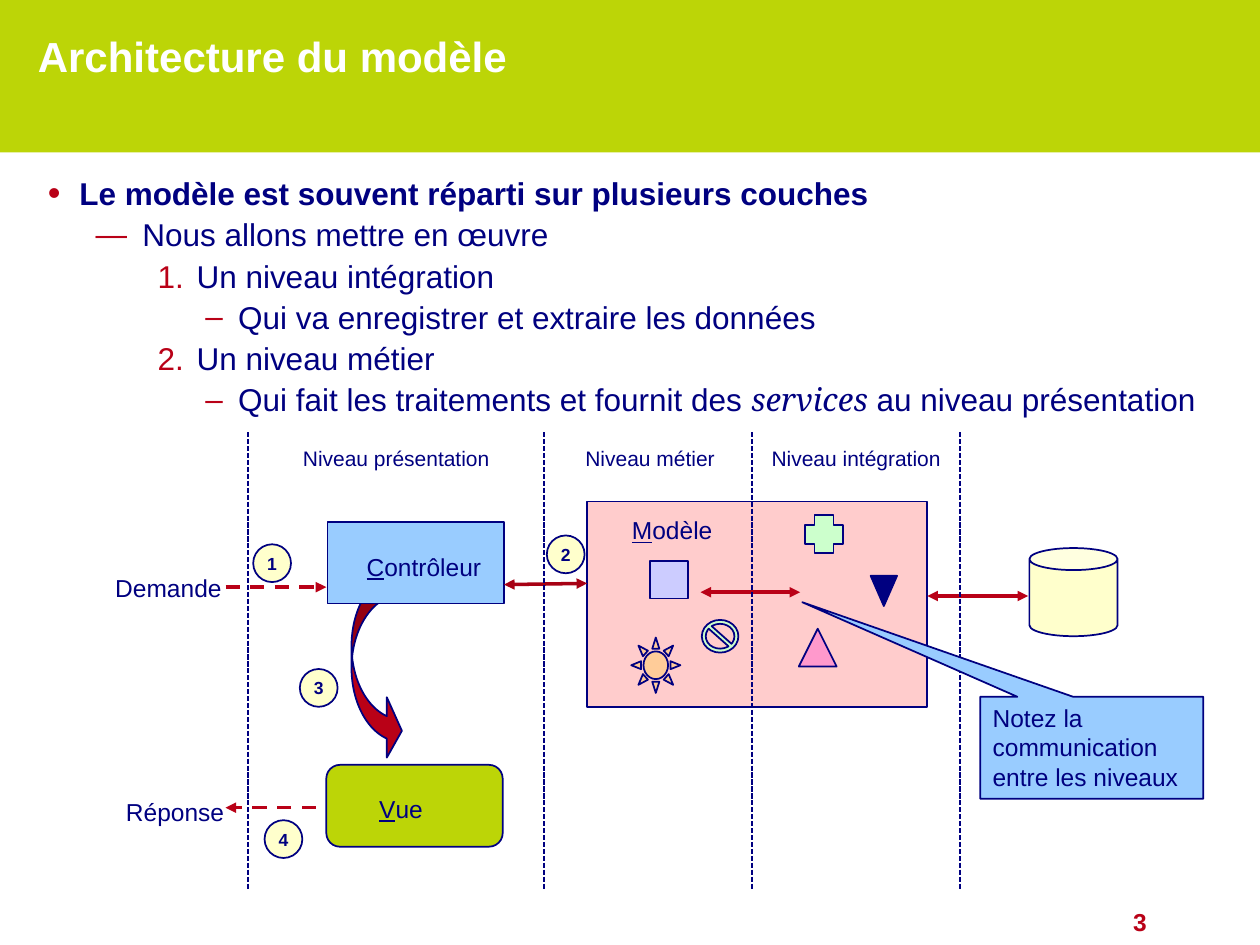
from lxml import etree
from pptx import Presentation
from pptx.dml.color import RGBColor
from pptx.enum.dml import MSO_LINE as Dash
from pptx.enum.shapes import MSO_CONNECTOR, MSO_SHAPE as Kind
from pptx.enum.text import MSO_ANCHOR as Anchor, MSO_AUTO_SIZE as Fit, PP_ALIGN as Align
from pptx.oxml.ns import qn
from pptx.util import Inches, Pt

NAVY, RED, LIME, SKY, CREAM = "000080", "B90117", "BCD507", "99CCFF", "FFFFCC"


def paint(fill, color):
    fill.solid()
    fill.fore_color.rgb = RGBColor.from_string(color)


def write(para, runs, size, color=NAVY, bold=False):
    """Add (text, style) runs, where style is u, i or empty."""
    for text, style in runs:
        run = para.add_run()
        run.text = text
        font = run.font
        font.name = "Noto Serif" if style == "i" else "Arial"
        font.size, font.bold = Pt(size), bold
        font.italic, font.underline = style == "i", style == "u"
        paint(font.fill, color)


prs = Presentation()
prs.slide_width, prs.slide_height = Inches(10), Inches(7.5)
slide = prs.slides.add_slide(prs.slide_layouts[1])
shapes = slide.shapes
paint(slide.background.fill, LIME)

# Title and list; the white panel goes behind both
title, body = shapes.title, slide.placeholders[1]
panel = shapes.add_shape(Kind.RECTANGLE, 0, Inches(1.21), Inches(10), Inches(6.29))
panel.shadow.inherit = False
paint(panel.fill, "FFFFFF")
panel.line.fill.background()
title._element.addprevious(panel._element)

for holder, box in ((title, (0.2, 0.19, 8.52, 0.79)), (body, (0.28, 1.33, 9.4, 2.06))):
    holder.left, holder.top, holder.width, holder.height = map(Inches, box)
    frame = holder.text_frame
    frame.auto_size, frame.vertical_anchor, frame.word_wrap = Fit.NONE, Anchor.TOP, True
head = title.text_frame.paragraphs[0]
head.alignment = Align.LEFT
write(head, [("Architecture du modèle", "")], 24, "FFFFFF", True)

# Per level: left margin, hanging indent, bullet (None means numbered)
levels = [(0.25, 0.25, "•"), (0.75, 0.37, "—"), (1.18, 0.31, None), (1.51, 0.26, "–")]
items = [
    (0, [("Le modèle est souvent réparti sur plusieurs couches", "")]),
    (1, [("Nous allons mettre en œuvre", "")]),
    (2, [("Un niveau intégration", "")]),
    (3, [("Qui va enregistrer et extraire les données", "")]),
    (2, [("Un niveau métier", "")]),
    (3, [("Qui fait les traitements et fournit des ", ""), ("services", "i"),
         (" au niveau présentation", "")]),
]
for row, (level, runs) in enumerate(items):
    para = body.text_frame.add_paragraph() if row else body.text_frame.paragraphs[0]
    para.level = level
    para.space_before = Pt(2 if level else 14)
    para.line_spacing = Pt(21.6)
    margin, hang, mark = levels[level]
    props = para._p.get_or_add_pPr()
    props.set("marL", str(Inches(margin)))
    props.set("indent", str(-Inches(hang)))
    tint = etree.SubElement(props, qn("a:buClr"))
    etree.SubElement(tint, qn("a:srgbClr"), val=RED)
    etree.SubElement(props, qn("a:buSzPct"), val="100000" if level else "115000")
    etree.SubElement(props, qn("a:buFont"), typeface="Arial")
    if mark:
        etree.SubElement(props, qn("a:buChar"), char=mark)
    else:
        etree.SubElement(props, qn("a:buAutoNum"), type="arabicPeriod")
    write(para, runs, 18, bold=level == 0)

# Lines: ends, colour, width, dash, arrow at start, arrow at end
lines = [
    ((3.29, 6.41, 1.79, 6.41), RED, 2, Dash.DASH, False, True),
    ((1.79, 4.66, 2.59, 4.66), RED, 2, Dash.DASH, False, True),
    ((7.36, 4.73, 8.16, 4.73), RED, 2, None, True, True),
    ((4, 4.64, 4.66, 4.63), "A70114", 2, None, True, True),
    ((5.56, 4.7, 6.35, 4.7), RED, 2, None, True, True),
]
lines += [((x, 3.43, x, 7.06), NAVY, 1, Dash.SQUARE_DOT, False, False)
          for x in (1.97, 4.32, 5.97, 7.62)]
links = []
for ends, color, width, dash, start, end in lines:
    link = shapes.add_connector(MSO_CONNECTOR.STRAIGHT, *map(Inches, ends))
    paint(link.line.fill, color)
    link.line.width = Pt(width)
    if dash:
        link.line.dash_style = dash
    stroke = link.line._get_or_add_ln()
    for tag, shown in (("a:headEnd", start), ("a:tailEnd", end)):
        if shown:
            etree.SubElement(stroke, qn(tag), type="triangle")
    etree.SubElement(link._element.spPr, qn("a:effectLst"))
    links.append(link)

# Shapes, from back to front: kind, box, fill, adjustments
steps = [("1", 2.01, 4.32), ("2", 4.34, 4.25), ("3", 2.38, 5.31), ("4", 2.1, 6.51)]
under = [
    (Kind.CURVED_RIGHT_ARROW, (2.79, 4.54, 0.4, 1.5), RED, (0.446, 1.198, 0.299)),
    (Kind.RECTANGLE, (2.6, 4.14, 1.4, 0.65), SKY, ()),
    (Kind.RECTANGLE, (4.66, 3.98, 2.7, 1.63), "FFCCCC", ()),
    (Kind.CAN, (8.17, 4.35, 0.7, 0.7), CREAM, (0.25,)),
    (Kind.RECTANGLE, (5.16, 4.45, 0.3, 0.3), "CCCCFF", ()),
    (Kind.ISOSCELES_TRIANGLE, (6.34, 4.99, 0.3, 0.3), "FF99CC", ()),
    (Kind.CROSS, (6.39, 4.09, 0.3, 0.3), "CCFFCC", (0.25,)),
    (Kind.NO_SYMBOL, (5.57, 4.92, 0.29, 0.26), "CCFFCC", (0.12,)),
    (Kind.SUN, (5.01, 5.06, 0.39, 0.44), "FFCC99", (0.25,)),
    (Kind.FLOWCHART_MERGE, (6.91, 4.57, 0.21, 0.24), NAVY, ()),
]
under += [(Kind.OVAL, (x, y, 0.3, 0.3), CREAM, ()) for _, x, y in steps]
over = [
    (Kind.ROUNDED_RECTANGLE, (2.59, 6.07, 1.4, 0.65), LIME, ()),
    (Kind.RECTANGULAR_CALLOUT, (7.78, 5.53, 1.77, 0.81), SKY, (-1.298, -1.427)),
]
drawn = []
for kind, box, color, adjust in under + over:
    shape = shapes.add_shape(kind, *map(Inches, box))
    shape.shadow.inherit = False
    paint(shape.fill, color)
    paint(shape.line.fill, NAVY)
    shape.line.width = Pt(1)
    for i, value in enumerate(adjust):
        shape.adjustments[i] = value
    if len(drawn) < len(under):
        links[0]._element.addprevious(shape._element)
    drawn.append(shape)

discs, note = drawn[-6:-2], drawn[-1]
for (digit, _, _), disc in zip(steps, discs):
    frame = disc.text_frame
    frame.margin_left = frame.margin_right = frame.margin_top = frame.margin_bottom = 0
    frame.vertical_anchor = Anchor.MIDDLE
    frame.paragraphs[0].alignment = Align.CENTER
    write(frame.paragraphs[0], [(digit, "")], 10, bold=True)

frame = note.text_frame
frame.word_wrap, frame.vertical_anchor = True, Anchor.TOP
frame.paragraphs[0].alignment = Align.LEFT
write(frame.paragraphs[0], [("Notez la communication entre les niveaux", "")], 14)

# Labels: left, top, width, alignment, size, runs
labels = [
    (2.91, 4.33, 1.07, Align.LEFT, 14, [("C", "u"), ("ontrôleur", "")]),
    (3.01, 6.25, 0.9, Align.LEFT, 14, [("V", "u"), ("ue", "")]),
    (4.81, 4.04, 1.05, Align.CENTER, 14, [("M", "u"), ("odèle", "")]),
    (0.76, 4.5, 1, Align.RIGHT, 14, [("Demande", "")]),
    (0.78, 6.28, 1, Align.RIGHT, 14, [("Réponse", "")]),
    (2.3, 3.49, 1.69, Align.CENTER, 12, [("Niveau présentation", "")]),
    (4.54, 3.49, 1.24, Align.CENTER, 12, [("Niveau métier", "")]),
    (6.02, 3.49, 1.55, Align.CENTER, 12, [("Niveau intégration", "")]),
    (7.62, 7.15, 1.48, Align.RIGHT, 14, [("3", "")]),
]
for left, top, width, align, size, runs in labels:
    box = shapes.add_textbox(*map(Inches, (left, top, width, 0.3)))
    frame = box.text_frame
    frame.word_wrap = True
    frame.margin_left = frame.margin_right = 0
    frame.paragraphs[0].alignment = align
    page = runs[0][0] == "3"
    write(frame.paragraphs[0], runs, size, RED if page else NAVY, page)

prs.save("out.pptx")
